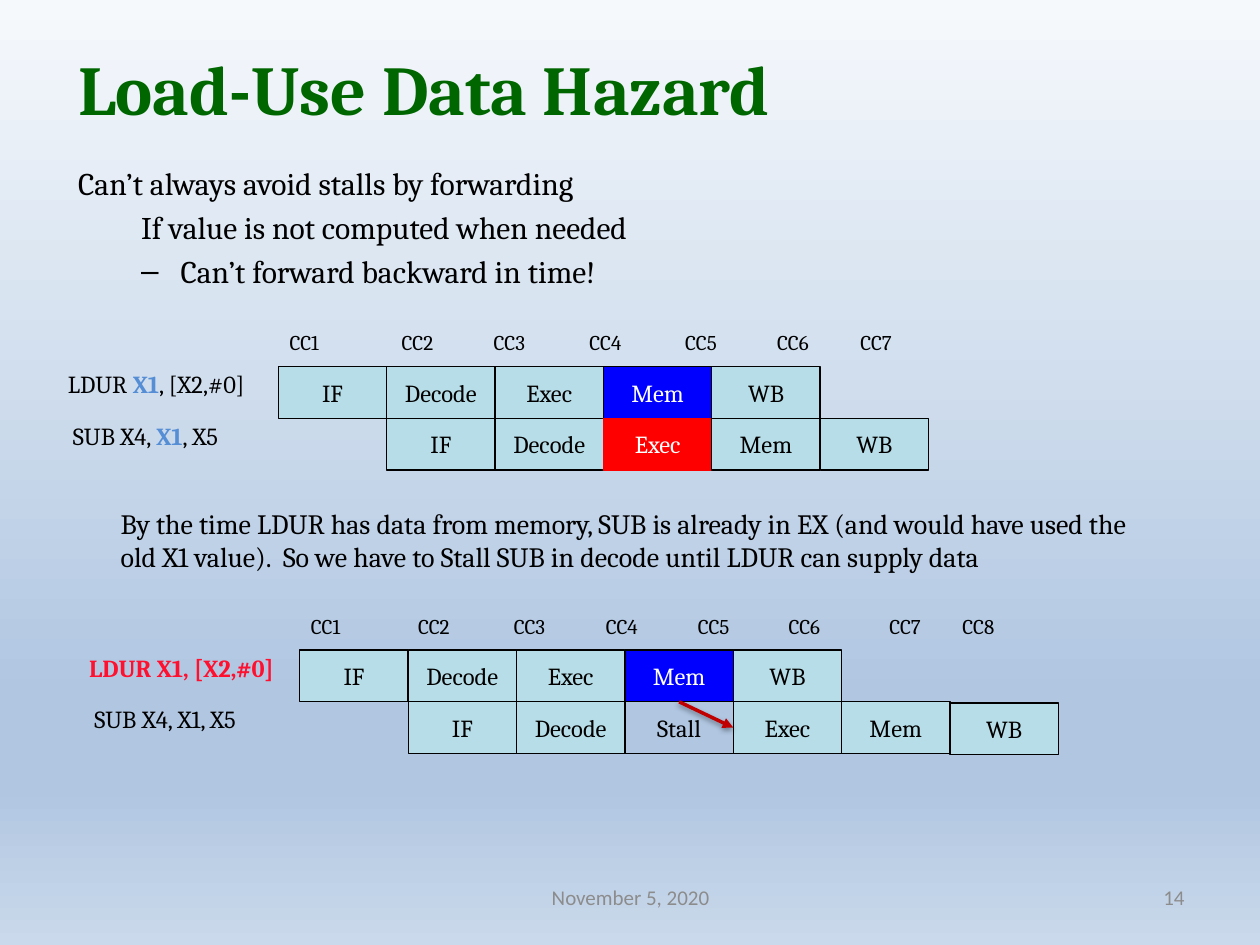
"""Build the load-use data hazard slide with its two pipeline diagrams."""
from dataclasses import dataclass

from lxml import etree
from pptx import Presentation
from pptx import util as u
from pptx.dml.color import RGBColor
from pptx.enum import shapes, text
from pptx.oxml.ns import qn

COLORS = {
    "black": "000000", "white": "FFFFFF", "title": "006600", "footer": "8C8C8C",
    "stage": "B7DEE8", "memory": "0000FF", "hazard": "FF0000",
    "register": "558ED5", "load": "FF102F", "forward": "C00000",
}
BACKGROUND = [(0, "F6F9FC"), (74, "B0C6E1"), (83, "B0C6E1"), (100, "CAD9EB")]
STAGE_WIDTH, STAGE_HEIGHT = 0.86, 0.41


@dataclass
class Span:
    text: str
    color: str = "black"
    bold: bool = False


@dataclass
class Stage:
    name: str
    fill: str | None = "stage"
    line: str = "black"
    color: str = "black"
    drop: float = 0


@dataclass
class Instruction:
    spans: list[Span]
    stages: list[Stage]


@dataclass
class Pipeline:
    left: float
    top: float
    cycle_tabs: list[float]
    instructions: list[Instruction]


MEMORY = Stage("Mem", "memory", color="white")
LOAD_STAGES = [Stage("IF"), Stage("Decode"), Stage("Exec"), MEMORY, Stage("WB")]
HAZARD = Pipeline(2.21, 2.91, [0.89, 1.62, 2.38, 3.14, 3.87, 4.53], [
    Instruction([Span("LDUR "), Span("X1", "register", True), Span(", [X2,#0]")], LOAD_STAGES),
    Instruction([Span("SUB X4, "), Span("X1", "register", True), Span(", X5")],
                [Stage("IF"), Stage("Decode"), Stage("Exec", "hazard", "hazard", "white"),
                 Stage("Mem"), Stage("WB")]),
])
STALLED = Pipeline(2.38, 5.16, [0.85, 1.61, 2.34, 3.07, 3.79, 4.59, 5.17], [
    Instruction([Span("LDUR X1, [X2,#0]", "load", True)], LOAD_STAGES),
    Instruction([Span("SUB X4, X1, X5")],
                [Stage("IF"), Stage("Decode"), Stage("Stall", None), Stage("Exec"),
                 Stage("Mem"), Stage("WB", drop=0.01)]),
])


def rgb(name: str) -> RGBColor:
    return RGBColor.from_string(COLORS[name])


def format_font(font, size: float, color: str = "black", bold: bool = False,
                face: str = "Cambria") -> None:
    font.name, font.size, font.bold = face, u.Pt(size), bold
    font.color.rgb = rgb(color)


def place(shape, left: float, top: float, width: float, height: float) -> None:
    shape.left, shape.top = u.Inches(left), u.Inches(top)
    shape.width, shape.height = u.Inches(width), u.Inches(height)


def add_text(slide, spans: list[Span], box: tuple, size: float, face: str = "Cambria",
             wrap: bool = True, align=text.PP_ALIGN.LEFT, anchor=text.MSO_ANCHOR.TOP):
    frame = slide.shapes.add_textbox(*map(u.Inches, box)).text_frame
    frame.word_wrap, frame.vertical_anchor = wrap, anchor
    paragraph = frame.paragraphs[0]
    paragraph.alignment = align
    for span in spans:
        run = paragraph.add_run()
        run.text = span.text
        format_font(run.font, size, span.color, span.bold, face)
    return paragraph


def add_stage(slide, stage: Stage, left: float, top: float):
    cell = slide.shapes.add_shape(
        shapes.MSO_SHAPE.RECTANGLE, u.Inches(left), u.Inches(top + stage.drop),
        u.Inches(STAGE_WIDTH), u.Inches(STAGE_HEIGHT))
    cell.shadow.inherit = False
    if stage.fill:
        cell.fill.solid()
        cell.fill.fore_color.rgb = rgb(stage.fill)
    else:
        cell.fill.background()
    cell.line.color.rgb = rgb(stage.line)
    cell.line.width = u.Pt(0.75)
    frame = cell.text_frame
    frame.text = stage.name
    frame.word_wrap, frame.vertical_anchor = False, text.MSO_ANCHOR.MIDDLE
    frame.paragraphs[0].alignment = text.PP_ALIGN.CENTER
    format_font(frame.paragraphs[0].runs[0].font, 14, stage.color)
    return cell


def add_pipeline(slide, pipeline: Pipeline) -> list[list]:
    count = len(pipeline.cycle_tabs) + 1
    cycles = "\t".join(f"CC{number}" for number in range(1, count + 1))
    header = add_text(slide, [Span(cycles)],
                      (pipeline.left - 0.01, pipeline.top - 0.34, 7.27, 0.3), 12)
    tabs = etree.SubElement(header._p.get_or_add_pPr(), qn("a:tabLst"))
    for position in pipeline.cycle_tabs:
        etree.SubElement(tabs, qn("a:tab"), pos=str(u.Inches(position)), algn="l")
    rows = []
    for row, instruction in enumerate(pipeline.instructions):
        top = pipeline.top + row * STAGE_HEIGHT
        label = (pipeline.left - 1.77 + row * 0.04, top - 0.03, 1.76 - row * 0.21, 0.34)
        add_text(slide, instruction.spans, label, 14, wrap=False)
        rows.append([
            add_stage(slide, stage, pipeline.left + (row + column) * STAGE_WIDTH, top)
            for column, stage in enumerate(instruction.stages)])
    return rows


def add_forwarding(slide, source, target) -> None:
    arrow = slide.shapes.add_connector(shapes.MSO_CONNECTOR.STRAIGHT, 0, 0, 0, 0)
    arrow.begin_connect(source, 2)
    arrow.end_connect(target, 1)
    arrow.line.color.rgb = rgb("forward")
    arrow.line.width = u.Pt(2)
    etree.SubElement(arrow.line._get_or_add_ln(), qn("a:tailEnd"), type="triangle")
    effects = etree.SubElement(arrow._element.spPr, qn("a:effectLst"))
    shadow = etree.SubElement(effects, qn("a:outerShdw"), blurRad=str(u.Pt(3.1)),
                              dist=str(u.Pt(1.6)), dir="5400000", rotWithShape="0")
    shade = etree.SubElement(shadow, qn("a:srgbClr"), val=COLORS["black"])
    etree.SubElement(shade, qn("a:alpha"), val="38000")


def set_background(slide) -> None:
    fill = slide.background.fill
    fill.gradient()
    fill.gradient_angle = 270
    stops = slide._element.find(".//" + qn("a:gsLst"))
    for stop in list(stops):
        stops.remove(stop)
    for percent, color in BACKGROUND:
        stop = etree.SubElement(stops, qn("a:gs"), pos=str(percent * 1000))
        etree.SubElement(stop, qn("a:srgbClr"), val=color)


def fill_placeholders(slide) -> None:
    title, body = slide.shapes.title, slide.placeholders[1]
    place(title, 0.52, 0.31, 9.03, 0.83)
    place(body, 0.52, 1.25, 9.03, 1.21)
    title.text_frame.text = "Load-Use Data Hazard"
    body.text_frame.text = ("Can’t always avoid stalls by forwarding\n"
                            "If value is not computed when needed\n"
                            "Can’t forward backward in time!")
    for frame in (title.text_frame, body.text_frame):
        frame.auto_size = text.MSO_AUTO_SIZE.NONE
        frame.vertical_anchor = text.MSO_ANCHOR.TOP
    heading = title.text_frame.paragraphs[0]
    heading.alignment = text.PP_ALIGN.LEFT
    format_font(heading.runs[0].font, 40, "title", True)
    claim, reason, consequence = body.text_frame.paragraphs
    claim.space_before = u.Pt(0)
    reason.level = consequence.level = 1
    for paragraph, margin in ((claim, 0), (reason, 0.5)):
        properties = paragraph._p.get_or_add_pPr()
        properties.set("marL", str(u.Inches(margin)))
        properties.set("indent", "0")
        etree.SubElement(properties, qn("a:buNone"))
    for paragraph in (claim, reason, consequence):
        format_font(paragraph.runs[0].font, 18)


def main() -> None:
    deck = Presentation()
    deck.slide_width, deck.slide_height = u.Inches(10), u.Inches(7.5)
    slide = deck.slides.add_slide(deck.slide_layouts[1])
    set_background(slide)
    fill_placeholders(slide)
    add_text(slide, [Span("By the time LDUR has data from memory, SUB is already in EX (and "
                          "would have used the old X1 value).  So we have to Stall SUB in "
                          "decode until LDUR can supply data")], (0.86, 3.97, 8.36, 0.64), 16)
    add_pipeline(slide, HAZARD)
    load, subtract = add_pipeline(slide, STALLED)
    add_forwarding(slide, load[3], subtract[3])
    for footer, box, align in (("November 5, 2020", (3.42, 6.92, 3.17, 0.4), text.PP_ALIGN.CENTER),
                               ("14", (7.17, 6.92, 2.33, 0.4), text.PP_ALIGN.RIGHT)):
        add_text(slide, [Span(footer, "footer")], box, 12, "Calibri", align=align,
                 anchor=text.MSO_ANCHOR.MIDDLE)
    deck.save("out.pptx")


if __name__ == "__main__":
    main()
